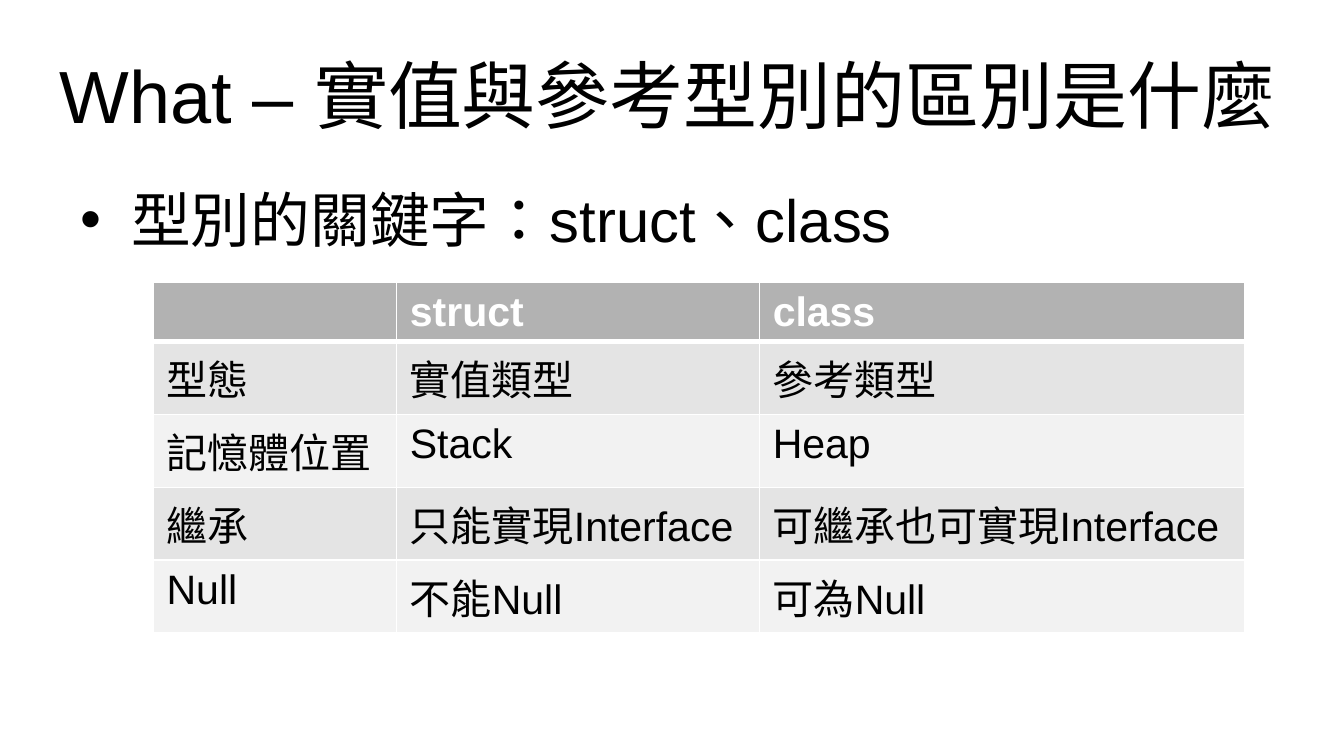
from dataclasses import dataclass

from lxml.etree import SubElement
from pptx import Presentation
from pptx.dml.color import RGBColor
from pptx.enum.lang import MSO_LANGUAGE_ID
from pptx.enum.text import MSO_ANCHOR, MSO_AUTO_SIZE, PP_ALIGN
from pptx.oxml.ns import qn
from pptx.util import Inches, Pt


@dataclass(frozen=True)
class Theme:
    font: str = "Arial"
    black: RGBColor = RGBColor(0x00, 0x00, 0x00)
    white: RGBColor = RGBColor(0xFF, 0xFF, 0xFF)
    header_fill: RGBColor = RGBColor(0xB2, 0xB2, 0xB2)
    odd_fill: RGBColor = RGBColor(0xE4, 0xE4, 0xE4)
    even_fill: RGBColor = RGBColor(0xF2, 0xF2, 0xF2)
    title_size: float = 39.6
    body_size: float = 32
    table_size: float = 22
    thin_line: float = 1
    thick_line: float = 3


@dataclass(frozen=True)
class Area:
    left: float
    top: float
    width: float
    height: float


@dataclass(frozen=True)
class RowStyle:
    fill: RGBColor
    color: RGBColor
    bold: bool
    top_line: float
    bottom_line: float


THEME = Theme()
PAGE_WIDTH = 10
TITLE_AREA = Area(0.28, 0.23, 9.37, 0.94)
BODY_AREA = Area(0.5, 1.31, 9, 3.71)
COLUMN_WIDTHS = (1.81, 2.7, 3.61)
ROW_HEIGHT = 0.41
COMPARISON = (
    ("", "struct", "class"),
    ("型態", "實值類型", "參考類型"),
    ("記憶體位置", "Stack", "Heap"),
    ("繼承", "只能實現Interface", "可繼承也可實現Interface"),
    ("Null", "不能Null", "可為Null"),
)


def add_span(para, text: str, size: float, color: RGBColor, bold: bool = False) -> None:
    span = para.add_run()
    span.text = text
    span.font.name = THEME.font
    span.font.size = Pt(size)
    span.font.bold = bold
    span.font.color.rgb = color
    span.font.language_id = MSO_LANGUAGE_ID.TRADITIONAL_CHINESE


def fill_placeholder(box, area: Area, text: str, size: float,
                     align: PP_ALIGN, anchor: MSO_ANCHOR) -> None:
    box.left, box.top = Inches(area.left), Inches(area.top)
    box.width, box.height = Inches(area.width), Inches(area.height)
    frame = box.text_frame
    frame.auto_size = MSO_AUTO_SIZE.NONE
    frame.word_wrap = True
    frame.vertical_anchor = anchor
    para = frame.paragraphs[0]
    para.alignment = align
    para.space_before = Pt(0)
    add_span(para, text, size, THEME.black)


def add_borders(cell, style: RowStyle) -> None:
    """Line all four sides; borders must precede the cell's fill in the XML."""
    properties = cell._tc.get_or_add_tcPr()
    widths = {
        "a:lnL": THEME.thin_line,
        "a:lnR": THEME.thin_line,
        "a:lnT": style.top_line,
        "a:lnB": style.bottom_line,
    }
    for position, (tag, width) in enumerate(widths.items()):
        line = SubElement(properties, qn(tag), w=str(Pt(width)))
        fill = SubElement(line, qn("a:solidFill"))
        SubElement(fill, qn("a:srgbClr"), val=str(THEME.white))
        properties.insert(position, line)


def row_style(row: int) -> RowStyle:
    if row == 0:
        return RowStyle(THEME.header_fill, THEME.white, True,
                        THEME.thin_line, THEME.thick_line)
    fill = THEME.odd_fill if row % 2 else THEME.even_fill
    top_line = THEME.thick_line if row == 1 else THEME.thin_line
    return RowStyle(fill, THEME.black, False, top_line, THEME.thin_line)


def add_comparison_table(page) -> None:
    table = page.shapes.add_table(
        len(COMPARISON), len(COLUMN_WIDTHS), Inches(1.14), Inches(2.1),
        Inches(sum(COLUMN_WIDTHS)), Inches(ROW_HEIGHT * len(COMPARISON)),
    ).table
    for column, width in zip(table.columns, COLUMN_WIDTHS):
        column.width = Inches(width)
    for row, texts in enumerate(COMPARISON):
        table.rows[row].height = Inches(ROW_HEIGHT)
        style = row_style(row)
        for column, text in enumerate(texts):
            cell = table.cell(row, column)
            cell.fill.solid()
            cell.fill.fore_color.rgb = style.fill
            add_borders(cell, style)
            if text:
                add_span(cell.text_frame.paragraphs[0], text,
                         THEME.table_size, style.color, style.bold)


def main() -> None:
    deck = Presentation()
    deck.slide_width = Inches(PAGE_WIDTH)
    deck.slide_height = Inches(PAGE_WIDTH * 9 / 16)
    page = deck.slides.add_slide(deck.slide_layouts[1])
    fill_placeholder(page.shapes.title, TITLE_AREA, "What – 實值與參考型別的區別是什麼",
                     THEME.title_size, PP_ALIGN.CENTER, MSO_ANCHOR.MIDDLE)
    fill_placeholder(page.placeholders[1], BODY_AREA, "型別的關鍵字：struct、class",
                     THEME.body_size, PP_ALIGN.LEFT, MSO_ANCHOR.TOP)
    add_comparison_table(page)
    deck.save("out.pptx")


if __name__ == "__main__":
    main()
